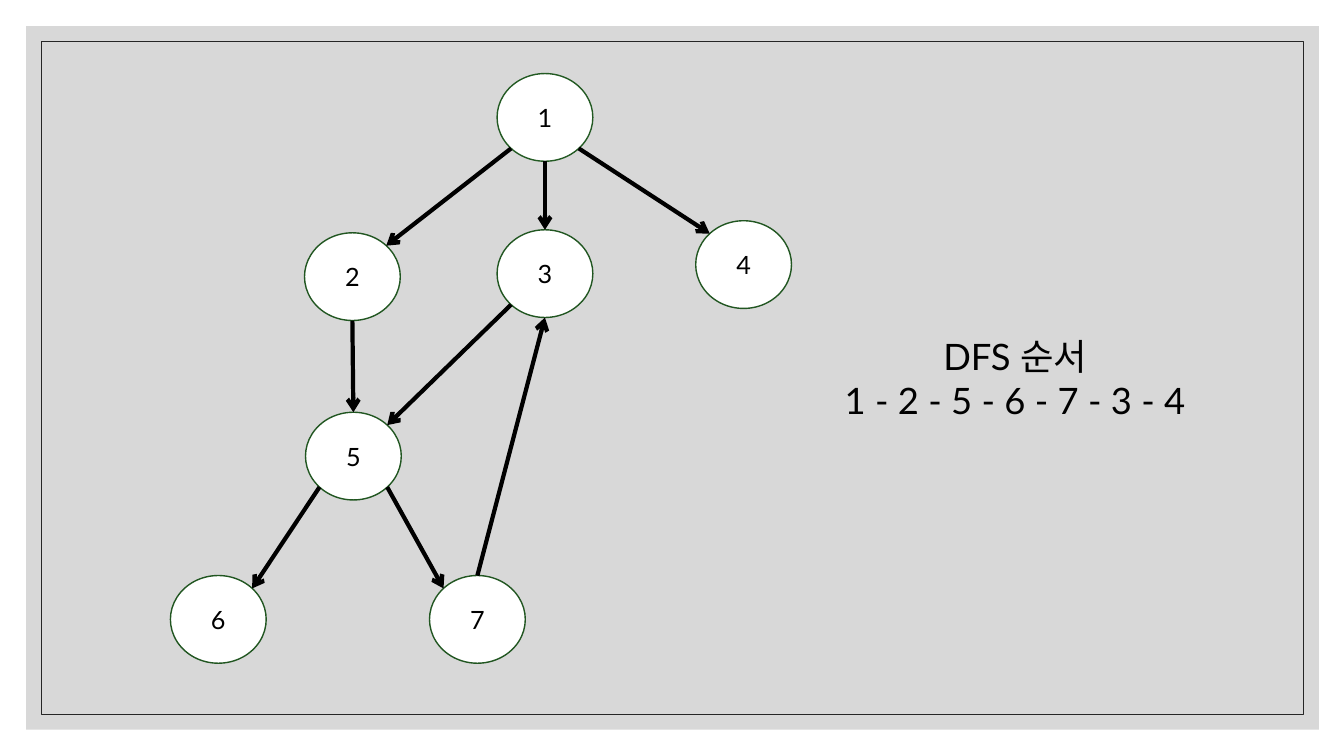
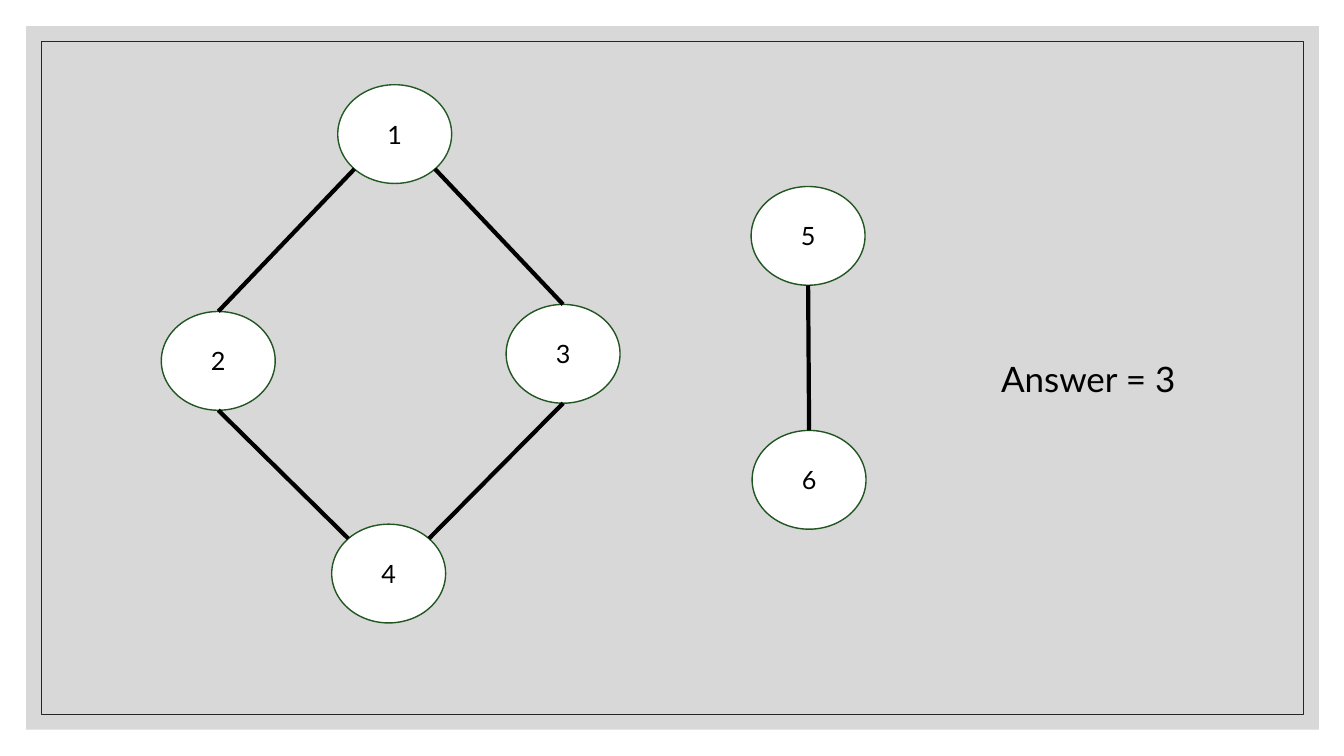
import math

import pptx
import pptx.dml.color
import pptx.enum.shapes
import pptx.enum.text
import pptx.oxml.ns
import pptx.util
from lxml import etree
from pptx.util import Inches

COLORS = {
    "panel": "BFBFBF",
    "frame": "262626",
    "node": "FFFFFF",
    "root_outline": "235A23",
    "outline": "215621",
    "ink": "000000",
}
FONT = "Lato"
SHAPES = pptx.enum.shapes.MSO_SHAPE
ALIGN = pptx.enum.text.PP_ALIGN
ANCHOR = pptx.enum.text.MSO_ANCHOR
AUTO_SIZE = pptx.enum.text.MSO_AUTO_SIZE

# Places on an ellipse where an edge may end, as (x, y) shares of its radii
DIAGONAL = math.sqrt(0.5)
SITES = {
    "top": (0, -1),
    "bottom": (0, 1),
    "top left": (-DIAGONAL, -DIAGONAL),
    "top right": (DIAGONAL, -DIAGONAL),
    "bottom left": (-DIAGONAL, DIAGONAL),
    "bottom right": (DIAGONAL, DIAGONAL),
}

# Each graph: node size, top-left corner by label, edges as (node, site, node, site)
DFS_NODE_SIZE = (0.95, 0.87)
DFS_NODES = {
    "1": (4.93, 0.73),
    "2": (3.02, 2.31),
    "3": (4.93, 2.28),
    "4": (6.9, 2.19),
    "5": (3.03, 4.09),
    "6": (1.69, 5.71),
    "7": (4.26, 5.71),
}
DFS_EDGES = [
    ("1", "bottom left", "2", "top right"),
    ("1", "bottom", "3", "top"),
    ("1", "bottom right", "4", "top left"),
    ("2", "bottom", "5", "top"),
    ("5", "bottom left", "6", "top right"),
    ("5", "bottom right", "7", "top left"),
    ("3", "bottom left", "5", "top right"),
    ("7", "top", "3", "bottom"),
]

ANSWER_NODE_SIZE = (1.13, 0.98)
ANSWER_NODES = {
    "1": (3.35, 0.84),
    "2": (1.6, 3.09),
    "3": (5.02, 3.02),
    "4": (3.29, 5.2),
    "5": (7.45, 1.85),
    "6": (7.46, 4.27),
}
ANSWER_EDGES = [
    ("1", "bottom right", "3", "top"),
    ("1", "bottom left", "2", "top"),
    ("3", "bottom", "4", "top right"),
    ("2", "bottom", "4", "top left"),
    ("5", "bottom", "6", "top"),
]


def rgb(name):
    return pptx.dml.color.RGBColor.from_string(COLORS[name])


def add_xml(parent, tag, **attributes):
    return etree.SubElement(parent, pptx.oxml.ns.qn(tag), **attributes)


def write_text(text_frame, text, size=18, color="ink", align=ALIGN.CENTER):
    """Fill a text frame, one paragraph per line of text."""
    for index, line in enumerate(text.split("\n")):
        paragraph = text_frame.add_paragraph() if index else text_frame.paragraphs[0]
        paragraph.alignment = align
        run = paragraph.add_run()
        run.text = line
        run.font.name = FONT
        run.font.size = pptx.util.Pt(size)
        run.font.color.rgb = rgb(color)


def add_figure(slide, preset, box, fill=None, line=None, weight=1):
    figure = slide.shapes.add_shape(preset, *map(Inches, box))
    figure.shadow.inherit = False
    if fill:
        figure.fill.solid()
        figure.fill.fore_color.rgb = rgb(fill)
    else:
        figure.fill.background()
    if line:
        figure.line.color.rgb = rgb(line)
        figure.line.width = pptx.util.Pt(weight)
    else:
        figure.line.fill.background()
    return figure


def add_backdrop(slide):
    """Translucent panel and thin frame shared by all slides."""
    panel = add_figure(slide, SHAPES.RECTANGLE, (0.26, 0.26, 12.82, 6.98), fill="panel")
    tint = panel.fill._xPr.find(".//" + pptx.oxml.ns.qn("a:srgbClr"))
    add_xml(tint, "a:alpha", val="60000")
    add_figure(slide, SHAPES.RECTANGLE, (0.41, 0.41, 12.52, 6.68), line="frame", weight=0.5)


def add_node(slide, label, corner, size):
    outline = "root_outline" if label == "1" else "outline"
    node = add_figure(slide, SHAPES.OVAL, corner + size, fill="node", line=outline)
    node.text_frame.vertical_anchor = ANCHOR.MIDDLE
    write_text(node.text_frame, label)


def site_point(corner, size, site):
    return [
        Inches(start + extent / 2 * (1 + share))
        for start, extent, share in zip(corner, size, SITES[site])
    ]


def add_edge(slide, start, end, arrow):
    edge = slide.shapes.add_connector(
        pptx.enum.shapes.MSO_CONNECTOR.STRAIGHT, *start, *end
    )
    edge.line.color.rgb = rgb("ink")
    edge.line.width = pptx.util.Pt(3)
    if arrow:
        add_xml(edge.line._get_or_add_ln(), "a:tailEnd", type="arrow")
    add_xml(edge._element.spPr, "a:effectLst")


def add_graph(slide, nodes, edges, size, directed):
    for label, corner in nodes.items():
        add_node(slide, label, corner, size)
    for source, source_site, target, target_site in edges:
        start = site_point(nodes[source], size, source_site)
        end = site_point(nodes[target], size, target_site)
        add_edge(slide, start, end, directed)


def add_caption(slide, text, box, wrap=True, **text_format):
    caption = slide.shapes.add_textbox(*map(Inches, box)).text_frame
    caption.word_wrap = wrap
    caption.auto_size = AUTO_SIZE.SHAPE_TO_FIT_TEXT
    write_text(caption, text, **text_format)


def add_slide(deck):
    slide = deck.slides.add_slide(deck.slide_layouts[6])
    add_backdrop(slide)
    return slide


def main():
    deck = pptx.Presentation()
    deck.slide_width = Inches(13.33)
    deck.slide_height = Inches(7.5)

    # Depth-first search order on a directed graph
    dfs = add_slide(deck)
    add_graph(dfs, DFS_NODES, DFS_EDGES, DFS_NODE_SIZE, directed=True)
    add_caption(dfs, "DFS 순서\n1 - 2 - 5 - 6 - 7 - 3 - 4", (7.87, 3.27, 4.4, 0.96), size=26)

    # Undirected graph with its answer
    answer = add_slide(deck)
    add_graph(answer, ANSWER_NODES, ANSWER_EDGES, ANSWER_NODE_SIZE, directed=False)
    add_caption(answer, "Answer = 3", (9.83, 3.5, 1.95, 0.52), wrap=False, size=25, align=ALIGN.LEFT)

    deck.save("out.pptx")


if __name__ == "__main__":
    main()
